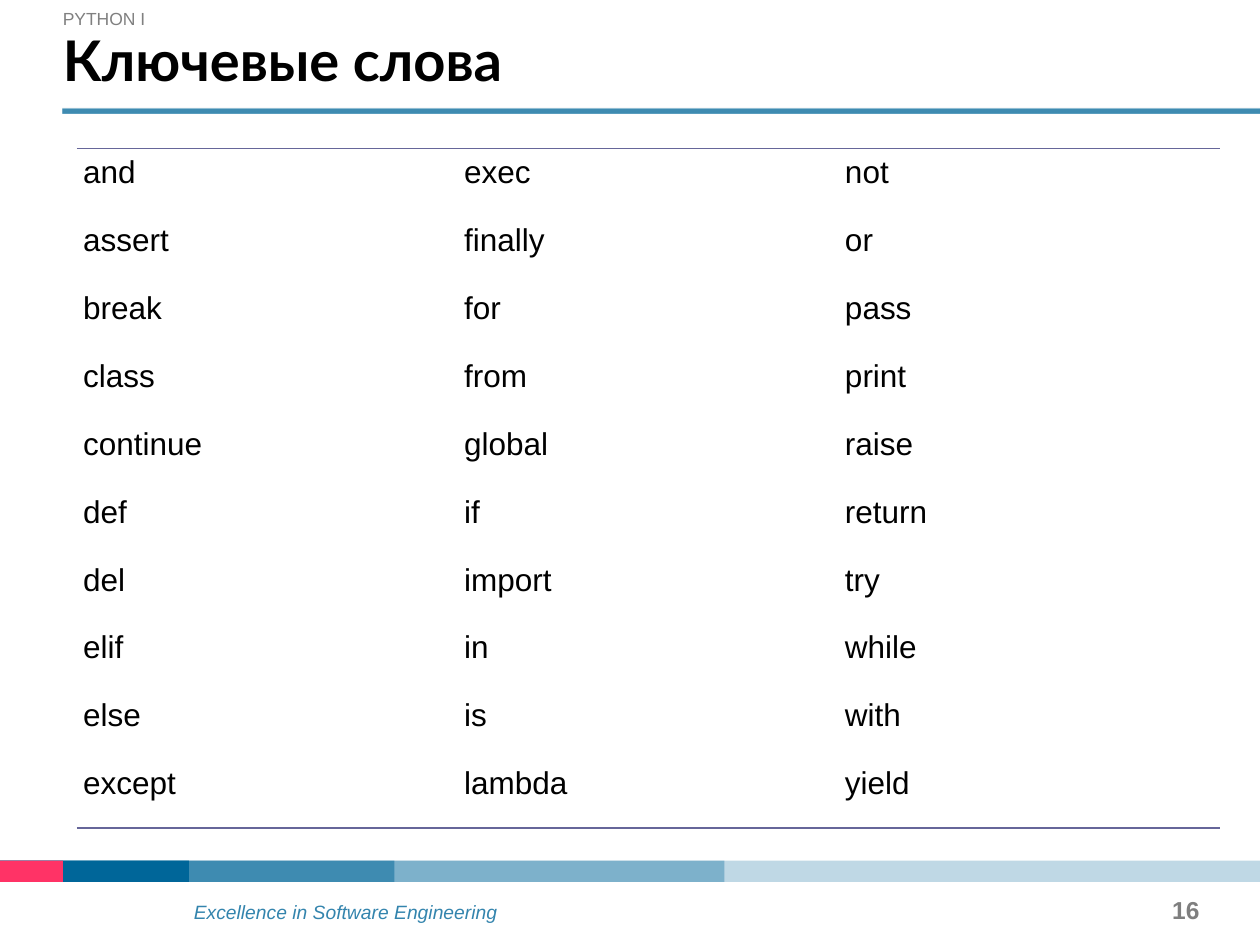
from dataclasses import dataclass

from lxml import etree
from pptx import Presentation
from pptx.dml.color import RGBColor
from pptx.enum.shapes import MSO_SHAPE
from pptx.enum.text import MSO_ANCHOR, PP_ALIGN
from pptx.oxml.ns import qn
from pptx.util import Inches, Pt

RECTANGLE = MSO_SHAPE.RECTANGLE
TOP, MIDDLE = MSO_ANCHOR.TOP, MSO_ANCHOR.MIDDLE
LEFT, RIGHT = PP_ALIGN.LEFT, PP_ALIGN.RIGHT


@dataclass(frozen=True)
class Theme:
    blue: str = "006699"
    red: str = "FF3366"
    rule: str = "666699"
    black: str = "000000"
    white: str = "FFFFFF"
    section_gray: str = "808080"
    number_gray: str = "7F7F7F"
    body_font: str = "Arial"
    title_font: str = "Lato"
    title_size: int = 32
    table_size: int = 18
    number_size: int = 14
    footer_size: int = 11
    section_size: int = 10


def child(parent, tag, **attributes):
    return etree.SubElement(parent, qn(tag), attributes)


class SlideBuilder:
    COLUMNS, ROWS = 100, 75

    def __init__(self, presentation, theme):
        self.theme = theme
        self.column = presentation.slide_width / self.COLUMNS
        self.row = presentation.slide_height / self.ROWS
        self.slide = presentation.slides.add_slide(presentation.slide_layouts[6])

    def place(self, left, top, width, height):
        return (round(left * self.column), round(top * self.row),
                round(width * self.column), round(height * self.row))

    def opacity(self, properties, percent):
        color = properties.find(qn("a:solidFill"))[0]
        child(color, "a:alpha", val=str(percent * 1000))

    def fill_text(self, frame, text, size, color, font=None, bold=False, italic=False,
                  align=LEFT, insets=(0.1, 0.05, 0.1, 0.05), anchor=TOP,
                  line_spacing=None, gap=0, opacity=100):
        frame.word_wrap = True
        frame.vertical_anchor = anchor
        (frame.margin_left, frame.margin_top,
         frame.margin_right, frame.margin_bottom) = map(Inches, insets)
        paragraph = frame.paragraphs[0]
        paragraph.alignment = align
        paragraph.space_before = paragraph.space_after = Pt(gap)
        if line_spacing:
            paragraph.line_spacing = line_spacing
        run = paragraph.add_run()
        run.text = text
        run.font.name = font or self.theme.body_font
        run.font.size = Pt(size)
        run.font.bold, run.font.italic = bold, italic
        run.font.color.rgb = RGBColor.from_string(color)
        if opacity < 100:
            self.opacity(run._r.get_or_add_rPr(), opacity)

    def text(self, box, text, size, color, **style):
        shape = self.slide.shapes.add_textbox(*self.place(*box))
        self.fill_text(shape.text_frame, text, size, color, **style)

    def rectangle(self, box, color, opacity=100):
        shape = self.slide.shapes.add_shape(RECTANGLE, *self.place(*box))
        shape.shadow.inherit = False
        shape.line.fill.background()
        shape.fill.solid()
        shape.fill.fore_color.rgb = RGBColor.from_string(color)
        if opacity < 100:
            self.opacity(shape._element.spPr, opacity)
        return shape

    def title(self, box, text):
        shape = self.rectangle(box, self.theme.white)
        solid = shape._element.spPr.find(qn("a:solidFill"))
        gradient = etree.Element(qn("a:gradFill"), rotWithShape="1")
        stops = child(gradient, "a:gsLst")
        for position, color, opacity in ((0, self.theme.blue, 75),
                                         (7, self.theme.blue, 75),
                                         (8, self.theme.white, 0)):
            stop = child(stops, "a:gs", pos=str(position * 1000))
            tint = child(stop, "a:srgbClr", val=color)
            child(tint, "a:alpha", val=str(opacity * 1000))
        child(gradient, "a:lin", ang=str(270 * 60000), scaled="0")
        solid.getparent().replace(solid, gradient)
        self.fill_text(shape.text_frame, text, self.theme.title_size, self.theme.black,
                       font=self.theme.title_font, bold=True,
                       insets=(0, 0.05, 0.1, 0.15), line_spacing=Pt(28))

    def borders(self, cell, ruled):
        properties = cell._tc.get_or_add_tcPr()
        for index, side in enumerate(("lnL", "lnR", "lnT", "lnB")):
            line = etree.Element(qn("a:" + side), w=str(int(Pt(1))))
            if side in ruled:
                fill = child(line, "a:solidFill")
                child(fill, "a:srgbClr", val=self.theme.rule)
            else:
                child(line, "a:noFill")
            properties.insert(index, line)

    def table(self, box, rows):
        place = self.place(*box)
        table = self.slide.shapes.add_table(len(rows), len(rows[0]), *place).table
        table.first_row = table.horz_banding = False
        last = len(rows) - 1
        for row_index, words in enumerate(rows):
            ruled = {0: ("lnT",), last: ("lnB",)}.get(row_index, ())
            for column_index, word in enumerate(words):
                cell = table.cell(row_index, column_index)
                self.fill_text(cell.text_frame, word, self.theme.table_size,
                               self.theme.black)
                cell.margin_left = cell.margin_right = Inches(0.05)
                cell.margin_top = cell.margin_bottom = Inches(0.05)
                cell.vertical_anchor = TOP
                cell.fill.background()
                self.borders(cell, ruled)


KEYWORD_COLUMNS = (
    "and assert break class continue def del elif else except".split(),
    "exec finally for from global if import in is lambda".split(),
    "not or pass print raise return try while with yield".split(),
)


def main():
    presentation = Presentation()
    presentation.slide_width, presentation.slide_height = Inches(10), Inches(7.5)
    theme = Theme()
    builder = SlideBuilder(presentation, theme)

    builder.text((14.4, 71.8, 28.6, 1.5), "Excellence in Software Engineering",
                 theme.footer_size, theme.blue, italic=True, opacity=80,
                 insets=(0.1, 0, 0.1, 0), line_spacing=0.8)
    for width, color, opacity in ((100, theme.blue, 25), (57.5, theme.blue, 34),
                                  (31.3, theme.blue, 50), (15, theme.blue, 100),
                                  (5, theme.red, 100)):
        builder.rectangle((0, 68.3, width, 1.7), color, opacity)
    builder.text((4, 0, 95.8, 3), "PYTHON I", theme.section_size,
                 theme.section_gray, anchor=MIDDLE, gap=6)
    builder.title((5, 3, 95, 6), "Ключевые слова")
    builder.text((89.9, 71, 5.3, 4), "16", theme.number_size, theme.number_gray,
                 bold=True, align=RIGHT, insets=(0, 0, 0, 0))
    builder.table((6.1, 11.8, 90.7, 53.9), list(zip(*KEYWORD_COLUMNS)))

    presentation.save("out.pptx")


main()
